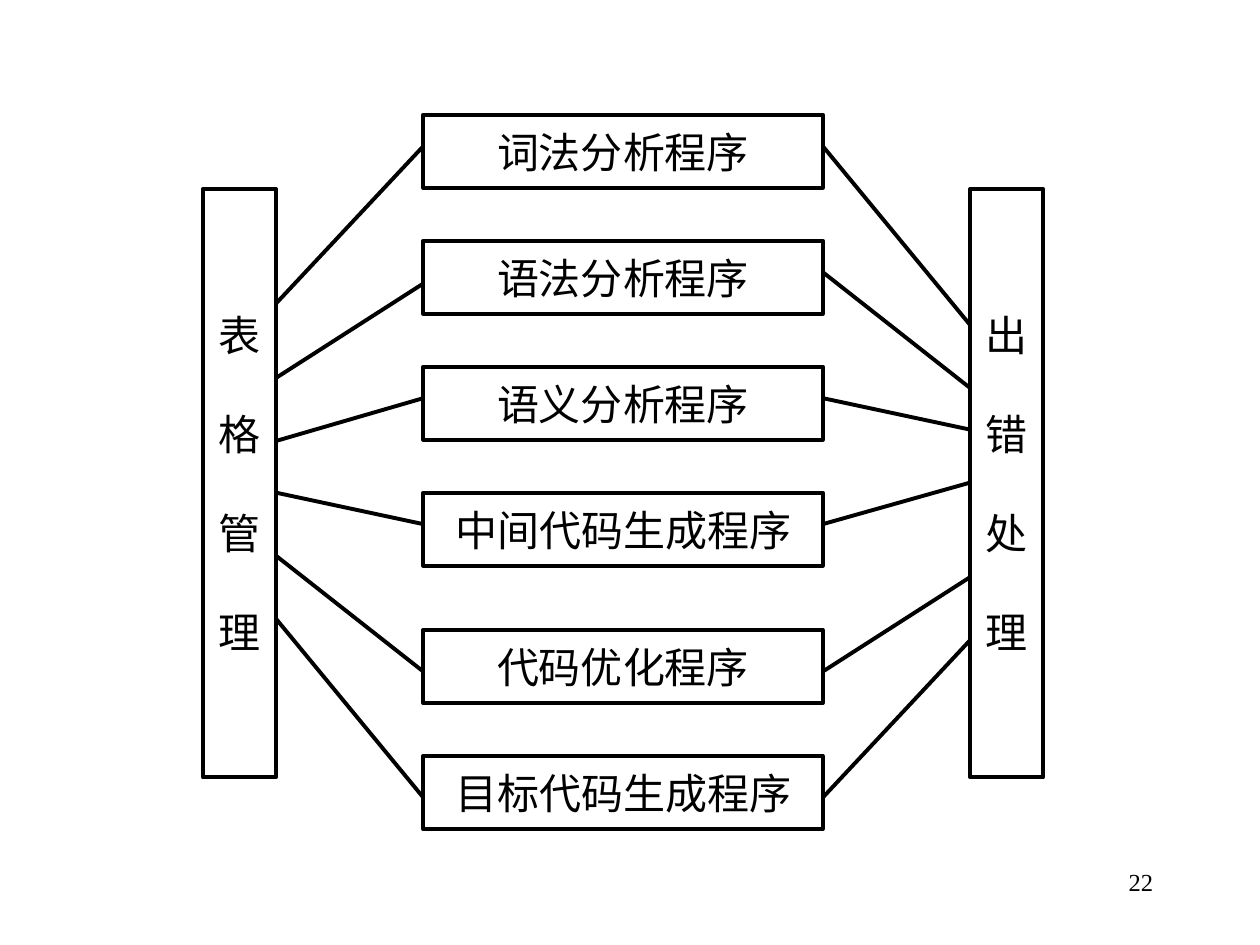
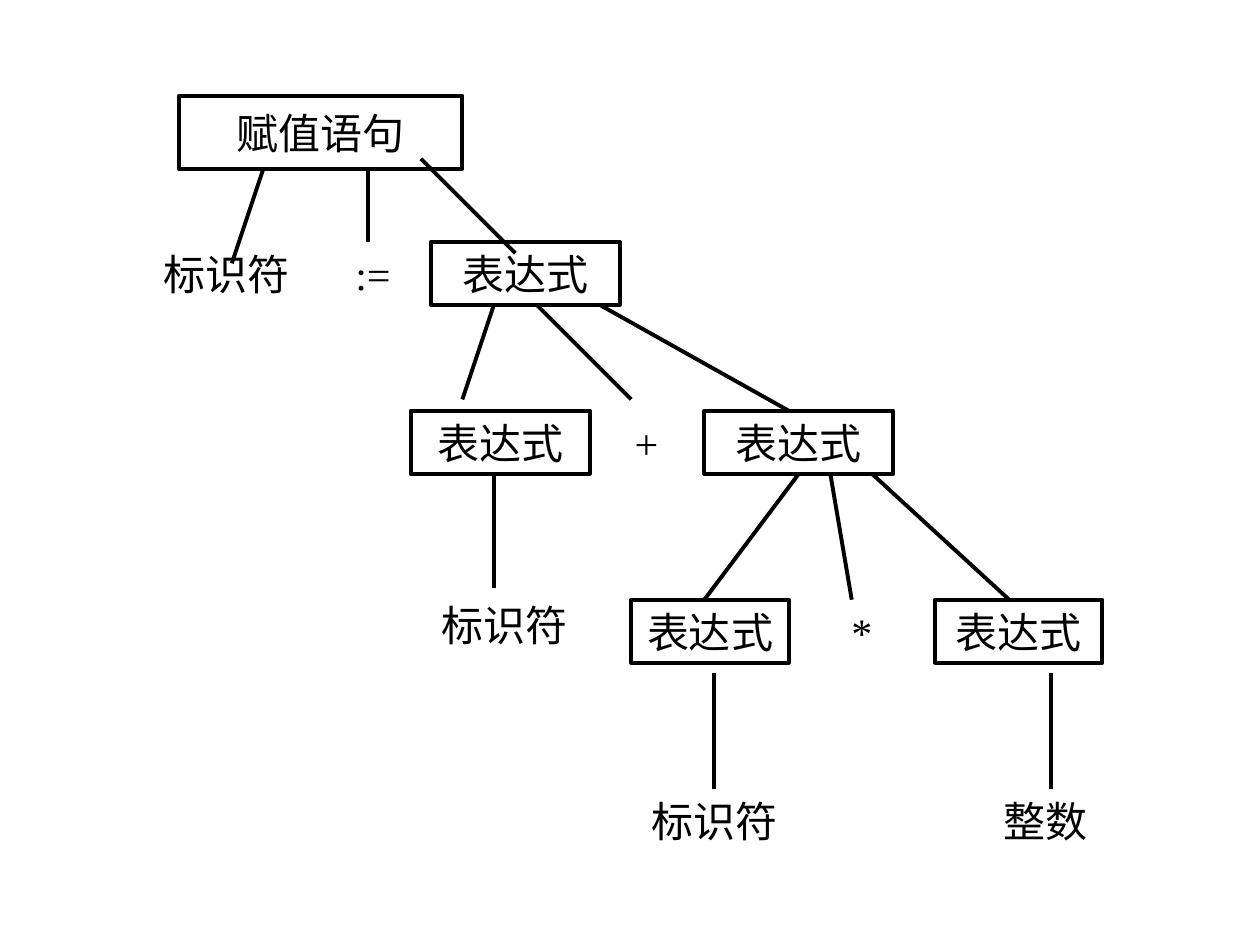
from lxml.etree import SubElement
from pptx import Presentation
from pptx.dml.color import RGBColor
from pptx.enum.shapes import MSO_CONNECTOR, MSO_SHAPE
from pptx.enum.text import MSO_ANCHOR, PP_ALIGN
from pptx.oxml.ns import qn
from pptx.util import Inches, Pt

COLORS = {"ink": "000000", "paper": "FFFFFF"}
FONT = "Times New Roman"
STROKE = 2.25

# Compiler phases: name, box top, then line heights at the
# table bar, box left side, box right side and error bar
PHASES = [
    ("词法分析程序", 0.91, 2.41, 1.16, 1.16, 2.58),
    ("语法分析程序", 1.91, 3.00, 2.25, 2.16, 3.08),
    ("语义分析程序", 2.91, 3.50, 3.16, 3.16, 3.41),
    ("中间代码生成程序", 3.91, 3.91, 4.16, 4.16, 3.83),
    ("代码优化程序", 5.00, 4.41, 5.33, 5.33, 4.58),
    ("目标代码生成程序", 6.00, 4.91, 6.33, 6.33, 5.08),
]
TABLE_BAR, ERROR_BAR = ("表格管理", 1.61), ("出错处理", 7.70)
BAR_TOP, BAR_HEIGHT = 1.5, 4.67
PHASE_LEFT, PHASE_WIDTH = 3.36, 3.17
THICKNESS = 0.58
PAGE_NUMBER = "22"

# Syntax tree: text, left, top, width, height
FRAMED_NODES = [
    ("赋值语句", 1.42, 0.76, 2.25, 0.58),
    ("表达式", 3.42, 1.92, 1.50, 0.50),
    ("表达式", 3.26, 3.26, 1.42, 0.50),
    ("表达式", 5.59, 3.26, 1.50, 0.50),
    ("表达式", 5.01, 4.76, 1.25, 0.50),
    ("表达式", 7.42, 4.76, 1.33, 0.50),
]
LEAVES = [
    ("标识符", 1.09, 1.92, 1.42, 0.50),
    (":=", 2.67, 1.92, 0.58, 0.50),
    ("+", 4.84, 3.26, 0.58, 0.50),
    ("标识符", 3.34, 4.67, 1.33, 0.58),
    ("*", 6.59, 4.76, 0.50, 0.50),
    ("标识符", 5.01, 6.26, 1.33, 0.50),
    ("整数", 7.67, 6.26, 1.25, 0.50),
]
# Branches: top y, then (top x, bottom x, bottom y) for each
BRANCHES = [
    (1.34, [(2.09, 1.84, 2.09), (2.92, 2.92, 1.92)]),
    (1.26, [(3.34, 4.09, 2.01)]),
    (2.42, [(3.92, 3.67, 3.17), (4.26, 5.01, 3.17), (4.76, 6.26, 3.26)]),
    (3.76, [(3.92, 3.92, 4.67), (6.34, 5.59, 4.76), (6.59, 6.76, 4.76),
            (6.92, 8.01, 4.76)]),
    (5.34, [(5.67, 5.67, 6.26), (8.34, 8.34, 6.26)]),
]


def color(name):
    return RGBColor.from_string(COLORS[name])


def write(shape, lines, size=24, align=PP_ALIGN.CENTER, anchor=MSO_ANCHOR.MIDDLE,
          wrap=False, gap=0):
    """Put one paragraph per line, with gap points between them."""
    frame = shape.text_frame
    frame.word_wrap = wrap
    frame.vertical_anchor = anchor
    for index, line in enumerate(lines):
        paragraph = frame.add_paragraph() if index else frame.paragraphs[0]
        paragraph.alignment = align
        paragraph.space_before = Pt(gap if index else 0)
        run = paragraph.add_run()
        run.text = line
        run.font.size = Pt(size)
        run.font.name = FONT
        run.font.color.rgb = color("ink")


def add_box(slide, lines, left, top, width, height, outline="ink", **text_format):
    box = slide.shapes.add_shape(MSO_SHAPE.RECTANGLE, *map(Inches, (left, top, width, height)))
    box.shadow.inherit = False
    box.fill.solid()
    box.fill.fore_color.rgb = color("paper")
    box.line.color.rgb = color(outline)
    box.line.width = Pt(STROKE)
    write(box, lines, **text_format)


def add_line(slide, *ends):
    line = slide.shapes.add_connector(MSO_CONNECTOR.STRAIGHT, *map(Inches, ends))
    line.line.color.rgb = color("ink")
    line.line.width = Pt(STROKE)
    SubElement(line._element.spPr, qn("a:effectLst"))


def build_compiler_structure(slide):
    for title, left in (TABLE_BAR, ERROR_BAR):
        add_box(slide, title, left, BAR_TOP, THICKNESS, BAR_HEIGHT, gap=27.6)
    table_edge = TABLE_BAR[1] + THICKNESS
    phase_right = PHASE_LEFT + PHASE_WIDTH
    for name, top, table_y, left_y, right_y, error_y in PHASES:
        add_box(slide, [name], PHASE_LEFT, top, PHASE_WIDTH, THICKNESS)
        add_line(slide, PHASE_LEFT, left_y, table_edge, table_y)
        add_line(slide, ERROR_BAR[1], error_y, phase_right, right_y)
    number = slide.shapes.add_textbox(*map(Inches, (7.17, 6.83, 2.08, 0.5)))
    write(number, [PAGE_NUMBER], size=14, align=PP_ALIGN.RIGHT,
          anchor=MSO_ANCHOR.TOP, wrap=True)


def build_syntax_tree(slide):
    for nodes, outline in ((LEAVES, "paper"), (FRAMED_NODES, "ink")):
        for text, *place in nodes:
            add_box(slide, [text], *place, outline=outline)
    for start_y, branches in BRANCHES:
        for start_x, end_x, end_y in branches:
            add_line(slide, start_x, start_y, end_x, end_y)


def main():
    deck = Presentation()
    deck.slide_width, deck.slide_height = Inches(10), Inches(7.5)
    for build in (build_compiler_structure, build_syntax_tree):
        slide = deck.slides.add_slide(deck.slide_layouts[6])
        slide.background.fill.solid()
        slide.background.fill.fore_color.rgb = color("paper")
        build(slide)
    deck.save("out.pptx")


if __name__ == "__main__":
    main()
